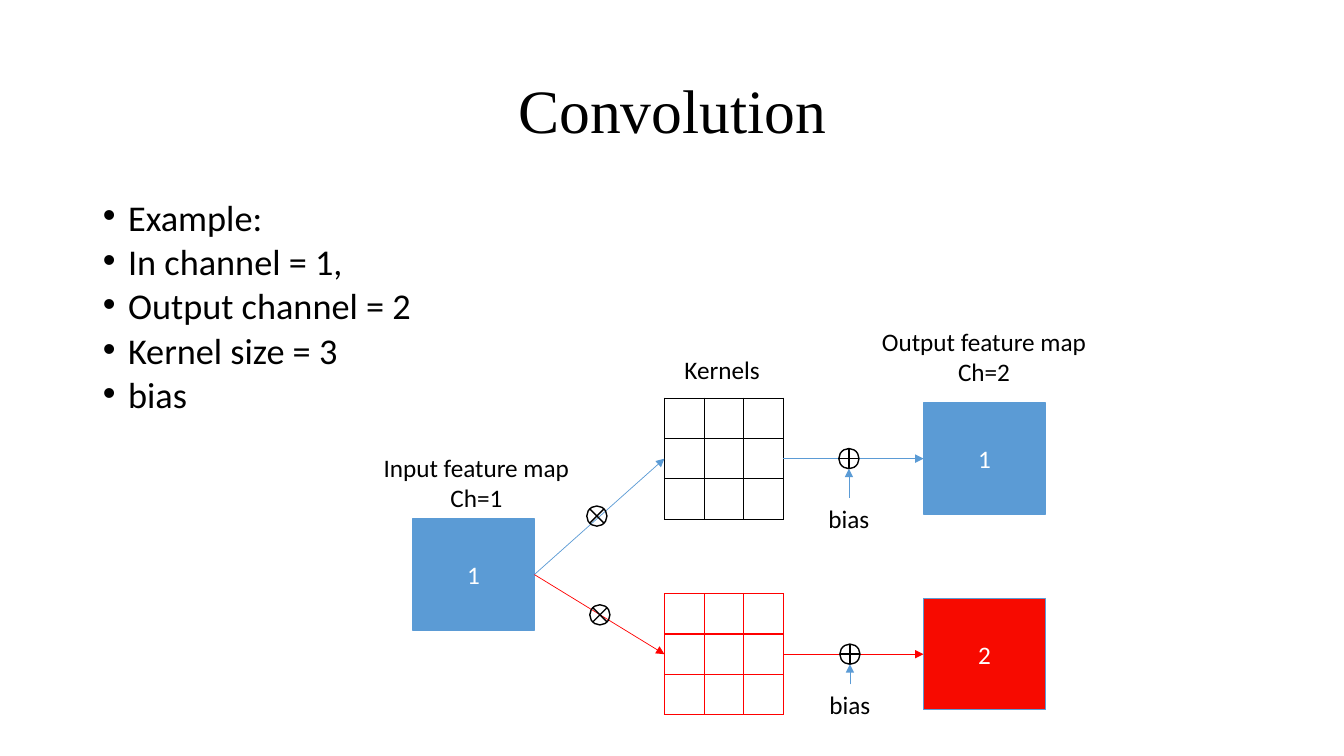
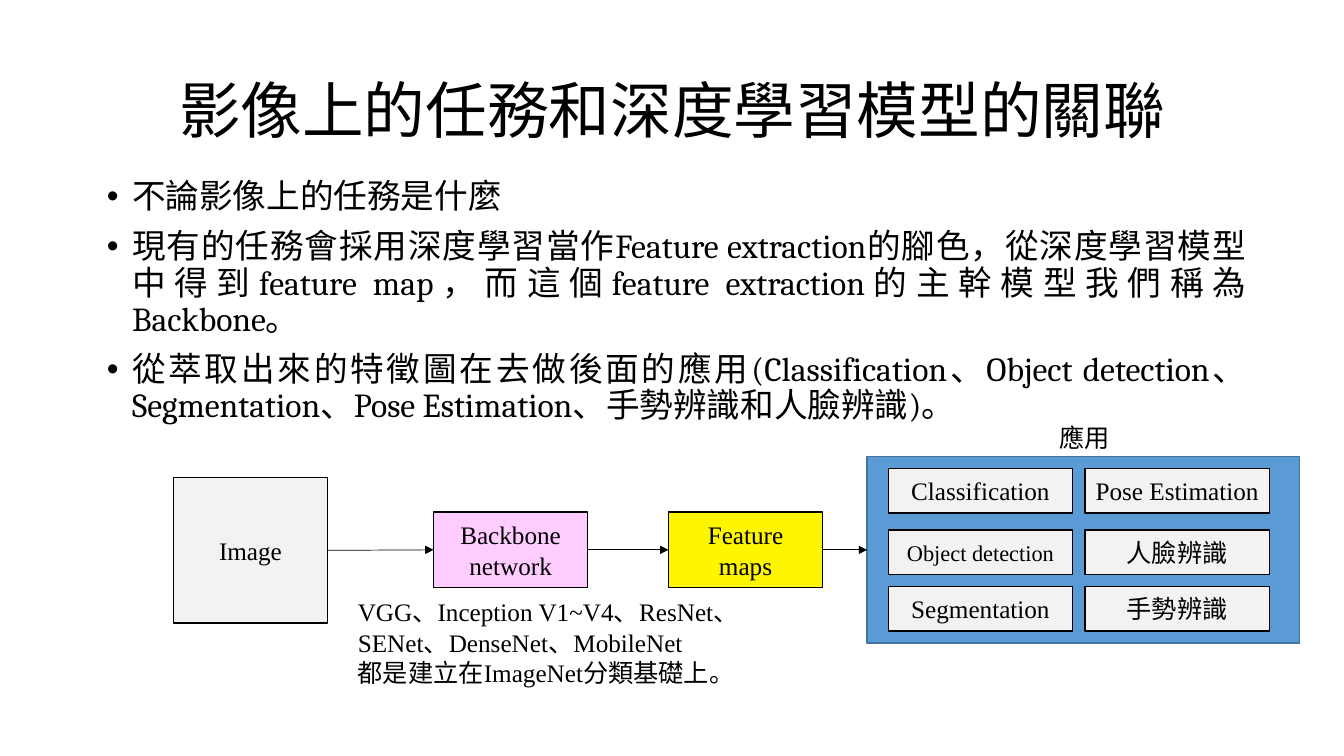
from lxml import etree
from pptx import Presentation
from pptx.dml.color import RGBColor
from pptx.enum.shapes import MSO_CONNECTOR, MSO_SHAPE
from pptx.enum.text import MSO_ANCHOR, MSO_AUTO_SIZE, PP_ALIGN
from pptx.oxml.ns import qn
from pptx.util import Inches, Pt

STRAIGHT = MSO_CONNECTOR.STRAIGHT
RECTANGLE = MSO_SHAPE.RECTANGLE
ELLIPSE = MSO_SHAPE.OVAL
MIDDLE = MSO_ANCHOR.MIDDLE
TOP = MSO_ANCHOR.TOP
NO_AUTOFIT = MSO_AUTO_SIZE.NONE
LEFT, CENTER, JUSTIFY = PP_ALIGN.LEFT, PP_ALIGN.CENTER, PP_ALIGN.JUSTIFY
RIGHT_SIDE, LEFT_SIDE = 3, 1

BLACK, WHITE, GREY = "000000", "FFFFFF", "F2F2F2"
BLUE, DARK_BLUE = "5B9BD5", "43739E"
RED, BOX_RED = "FF0000", "F70A00"
PINK, YELLOW = "FFCCFF", "FEF600"
SANS, SERIF, BODY_SERIF = "Calibri", "Times New Roman", "Cambria"


def color(value):
    return RGBColor.from_string(value)


def inches(*values):
    return [Inches(value) for value in values]


def place(shape, *box):
    shape.left, shape.top, shape.width, shape.height = inches(*box)


def write(frame, lines, font, size, text_color=BLACK, align=CENTER, spacing=None):
    frame.word_wrap = True
    frame.text = "\n".join(lines)
    for paragraph in frame.paragraphs:
        paragraph.alignment = align
        if spacing:
            paragraph.line_spacing = spacing
        paragraph.font.name = font
        paragraph.font.size = Pt(size)
        paragraph.font.color.rgb = color(text_color)


def add_content_slide(presentation, title, font):
    slide = presentation.slides.add_slide(presentation.slide_layouts[1])
    place(slide.shapes.title, 0.92, 0.4, 11.5, 1.45)
    frame = slide.shapes.title.text_frame
    frame.auto_size = NO_AUTOFIT
    frame.vertical_anchor = MIDDLE
    write(frame, [title], font, 44, spacing=0.9)
    return slide


def fill_body(slide, box, lines, font, size, align, spacing):
    body = slide.placeholders[1]
    place(body, *box)
    frame = body.text_frame
    frame.auto_size = NO_AUTOFIT
    frame.vertical_anchor = TOP
    write(frame, lines, font, size, align=align, spacing=spacing)
    for paragraph in frame.paragraphs:
        paragraph.space_before = Pt(10)
        properties = paragraph._p.get_or_add_pPr()
        properties.set("marL", str(Inches(0.25)))
        properties.set("indent", str(Inches(-0.25)))


def add_box(slide, box, fill, line, lines=(), font=SERIF, size=18, text_color=BLACK):
    shape = slide.shapes.add_shape(RECTANGLE, *inches(*box))
    shape.shadow.inherit = False
    shape.fill.solid()
    shape.fill.fore_color.rgb = color(fill)
    shape.line.color.rgb = color(line)
    shape.line.width = Pt(1)
    if lines:
        shape.text_frame.vertical_anchor = MIDDLE
        write(shape.text_frame, lines, font, size, text_color)
    return shape


def add_label(slide, box, lines, font=SANS, align=CENTER):
    label = slide.shapes.add_textbox(*inches(*box))
    write(label.text_frame, lines, font, 18, align=align)


def add_line(shapes, start, end, line_color, width=1):
    connector = shapes.add_connector(STRAIGHT, *inches(*start, *end))
    connector.line.color.rgb = color(line_color)
    connector.line.width = Pt(width)
    etree.SubElement(connector.element.spPr, qn("a:effectLst"))
    return connector


def add_arrow(slide, start, end, line_color, source=None, target=None):
    arrow = add_line(slide.shapes, start, end, line_color, 0.5)
    outline = arrow.element.spPr.find(qn("a:ln"))
    etree.SubElement(outline, qn("a:tailEnd"), type="triangle")
    if source:
        arrow.begin_connect(source, RIGHT_SIDE)
    if target:
        arrow.end_connect(target, LEFT_SIDE)


def add_operator(slide, x, y, strokes):
    shapes = slide.shapes.add_group_shape().shapes
    circle = shapes.add_shape(ELLIPSE, *inches(x - 0.1, y - 0.1, 0.2, 0.2))
    circle.shadow.inherit = False
    circle.fill.background()
    circle.line.color.rgb = color(BLACK)
    circle.line.width = Pt(1)
    for dx, dy in strokes:
        add_line(shapes, (x - dx, y - dy), (x + dx, y + dy), BLACK)


def add_kernel(slide, left, top, line_color):
    table = slide.shapes.add_table(3, 3, *inches(left, top, 1.18, 1.2)).table
    table.first_row = False
    table.horz_banding = False
    for cell in table.iter_cells():
        properties = cell._tc.get_or_add_tcPr()
        for side in ("lnL", "lnR", "lnT", "lnB"):
            border = etree.SubElement(properties, qn(f"a:{side}"), w=str(Pt(1)))
            fill = etree.SubElement(border, qn("a:solidFill"))
            etree.SubElement(fill, qn("a:srgbClr"), val=line_color)
        cell.fill.background()


def build_convolution(presentation):
    slide = add_content_slide(presentation, "Convolution", SERIF)
    fill_body(
        slide, (0.92, 2, 11.5, 2.3),
        ["Example:", "In channel = 1,", "Output channel = 2", "Kernel size = 3", "bias"],
        SANS, 25.9, LEFT, 0.7,
    )
    times = [(0.07, 0.07), (0.07, -0.07)]
    plus = [(0, 0.1), (0.1, 0)]
    source = add_box(slide, (4.09, 5.15, 1.21, 1.1), BLUE, BLUE, ["1"], SANS, 18, WHITE)
    add_label(slide, (3.62, 4.44, 2.21, 0.71), ["Input feature map", "Ch=1"])
    add_label(slide, (8.53, 3.19, 2.46, 0.71), ["Output feature map", "Ch=2"])
    add_label(slide, (6.69, 3.47, 1.02, 0.4), ["Kernels"], align=LEFT)

    channels = [
        ("1", 4.55, BLUE, BLUE, BLACK, (5.92, 5.12), 8.42, 4.94),
        ("2", 6.49, BOX_RED, RED, RED, (5.95, 6.1), 8.43, 6.79),
    ]
    for number, y, fill, arrow_color, grid_color, times_at, plus_x, bias_y in channels:
        output = add_box(slide, (9.16, y - 0.55, 1.21, 1.1), fill, BLUE,
                         [number], SANS, 18, WHITE)
        add_kernel(slide, 6.59, y - 0.6, grid_color)
        add_arrow(slide, (5.3, 5.7), (6.59, y), arrow_color, source=source)
        add_arrow(slide, (7.77, y), (9.16, y), arrow_color, target=output)
        add_operator(slide, *times_at, times)
        add_operator(slide, plus_x, y, plus)
        add_label(slide, (plus_x - 0.35, bias_y, 0.7, 0.4), ["bias"])
        add_arrow(slide, (plus_x, bias_y), (plus_x, y + 0.1), BLUE)


def build_backbone(presentation):
    slide = add_content_slide(presentation, "影像上的任務和深度學習模型的關聯", SANS)
    fill_body(
        slide, (0.96, 1.73, 11.5, 2.75),
        [
            "不論影像上的任務是什麼",
            "現有的任務會採用深度學習當作Feature extraction的腳色，從深度學習模型中得到"
            "feature map，而這個feature extraction的主幹模型我們稱為Backbone。",
            "從萃取出來的特徵圖在去做後面的應用(Classification、Object detection、"
            "Segmentation、Pose Estimation、手勢辨識和人臉辨識)。",
        ],
        BODY_SERIF, 24, JUSTIFY, 0.9,
    )
    stages = [
        add_box(slide, (1.72, 4.74, 1.53, 1.44), GREY, BLACK, ["Image"]),
        add_box(slide, (4.3, 5.08, 1.53, 0.75), PINK, BLACK, ["Backbone", "network"]),
        add_box(slide, (6.63, 5.08, 1.53, 0.75), YELLOW, BLACK, ["Feature maps"]),
        add_box(slide, (8.6, 4.53, 4.29, 1.85), BLUE, DARK_BLUE),
    ]
    for source, target in zip(stages, stages[1:]):
        add_arrow(slide, (0, 0), (0, 0), BLACK, source, target)

    applications = [
        (4.65, ("Classification", SERIF, 18), ("Pose Estimation", SERIF, 18)),
        (5.26, ("Object detection", SERIF, 16), ("人臉辨識", SANS, 18)),
        (5.82, ("Segmentation", SERIF, 18), ("手勢辨識", SANS, 18)),
    ]
    for top, *row in applications:
        for left, (text, font, size) in zip((8.81, 10.76), row):
            add_box(slide, (left, top, 1.83, 0.44), GREY, BLACK, [text], font, size)

    add_label(slide, (10.31, 4.14, 0.9, 0.4), ["應用"])
    add_label(
        slide, (3.45, 5.87, 4.09, 1.01),
        [
            "VGG、Inception V1~V4、ResNet、SENet、DenseNet、MobileNet",
            "都是建立在ImageNet分類基礎上。",
        ],
        SERIF, LEFT,
    )


def main():
    presentation = Presentation()
    presentation.slide_width, presentation.slide_height = inches(13.33, 7.5)
    build_convolution(presentation)
    build_backbone(presentation)
    presentation.save("out.pptx")


if __name__ == "__main__":
    main()
